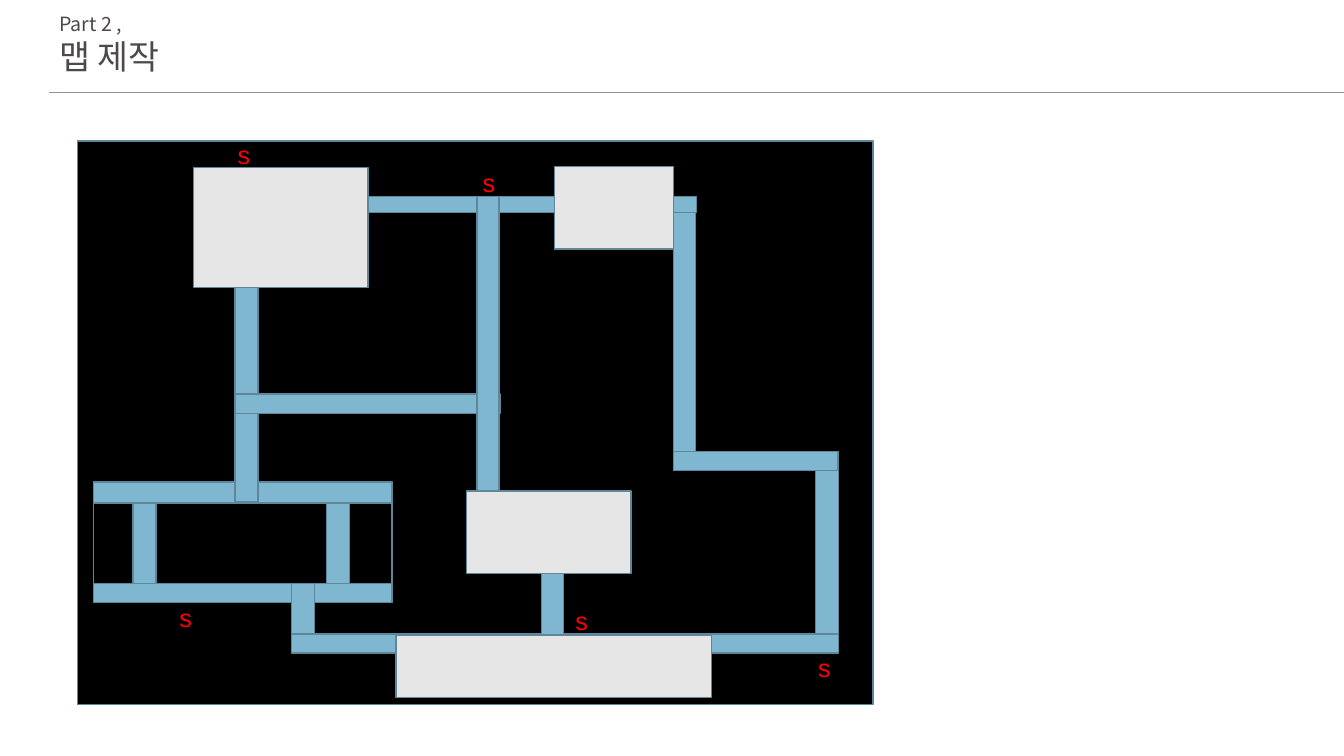
from lxml import etree
from pptx import Presentation
from pptx.dml.color import RGBColor
from pptx.enum.shapes import MSO_CONNECTOR, MSO_SHAPE
from pptx.enum.text import MSO_ANCHOR, MSO_AUTO_SIZE, PP_ALIGN
from pptx.oxml.ns import qn
from pptx.util import Pt

BLACK = RGBColor(0x00, 0x00, 0x00)
CORRIDOR_BLUE = RGBColor(0x80, 0xB7, 0xD0)
ROOM_GRAY = RGBColor(0xE7, 0xE6, 0xE6)
OUTLINE = RGBColor(0x5F, 0x87, 0x9A)
RULE_GRAY = RGBColor(0x98, 0x91, 0x94)
HEADING = RGBColor(0x4D, 0x48, 0x4A)
RED = RGBColor(0xFF, 0x00, 0x00)
HEADING_FONT = "Noto Sans CJK KR"


def write_text(shape, text, size, font_name, color, wrap):
    frame = shape.text_frame
    frame.word_wrap = wrap
    frame.auto_size = MSO_AUTO_SIZE.SHAPE_TO_FIT_TEXT
    frame.vertical_anchor = MSO_ANCHOR.TOP
    paragraph = frame.paragraphs[0]
    paragraph.alignment = PP_ALIGN.LEFT
    run = paragraph.add_run()
    run.text = text
    run.font.size = Pt(size)
    run.font.name = font_name
    run.font.color.rgb = color
    east_asian = etree.SubElement(run.font._element, qn("a:ea"))
    east_asian.set("typeface", font_name)


presentation = Presentation()
presentation.slide_width = Pt(960)
presentation.slide_height = Pt(540)
slide = presentation.slides.add_slide(presentation.slide_layouts[5])

rule = slide.shapes.add_connector(MSO_CONNECTOR.STRAIGHT, Pt(35.3), Pt(65.8), Pt(960), Pt(65.8))
rule.line.color.rgb = RULE_GRAY
rule.line.width = Pt(0.5)
etree.SubElement(rule._element.spPr, qn("a:effectLst"))

part_label = slide.shapes.add_textbox(Pt(35.3), Pt(5), Pt(62.6), Pt(24.5))
write_text(part_label, "Part 2 ,", 14, HEADING_FONT, HEADING, False)

title = slide.shapes.title
title.left, title.top, title.width, title.height = Pt(35.3), Pt(22.3), Pt(95.8), Pt(36)
write_text(title, "맵 제작", 24, HEADING_FONT, HEADING, False)

grounds = [
    (55.4, 100.8, 568.1, 402.5),
    (67, 344.2, 213.1, 85.7),
]
corridors = [
    (233.3, 344.2, 16.6, 86.4),
    (95, 344.2, 16.6, 86.4),
    (67, 416.9, 213.1, 13.7),
    (208.1, 416.9, 16.6, 44.6),
    (582.5, 322.6, 16.6, 143.3),
    (481, 141.1, 15.8, 195.1),
    (184.3, 140.4, 313.2, 11.5),
    (208.1, 452.9, 391, 13.7),
    (67, 344.2, 213.1, 15.1),
    (167.8, 140.4, 16.6, 218.2),
    (481, 322.6, 117.4, 13.7),
    (167.8, 281.5, 189.4, 13.7),
    (340.6, 140.4, 15.8, 248.4),
    (386.6, 376.6, 15.8, 89.3),
]
rooms = [
    (283, 453.6, 225.4, 44.6),
    (333.4, 350.6, 117.4, 59),
    (138.2, 119.5, 124.6, 85.7),
    (396, 118.8, 85, 59),
]
spawn_points = [(577.4, 462.2), (403.9, 429.1), (162.7, 95.8), (337.7, 115.9), (121, 427)]

game_map = slide.shapes.add_group_shape()
for color, boxes in ((BLACK, grounds), (CORRIDOR_BLUE, corridors), (ROOM_GRAY, rooms)):
    for box in boxes:
        shape = game_map.shapes.add_shape(MSO_SHAPE.RECTANGLE, *map(Pt, box))
        shape.shadow.inherit = False
        shape.fill.solid()
        shape.fill.fore_color.rgb = color
        shape.line.color.rgb = OUTLINE
        shape.line.width = Pt(1)

for left, top in spawn_points:
    marker = game_map.shapes.add_textbox(Pt(left), Pt(top), Pt(26.6), Pt(25.2))
    write_text(marker, "s", 18, "Arial", RED, True)

presentation.save("out.pptx")
